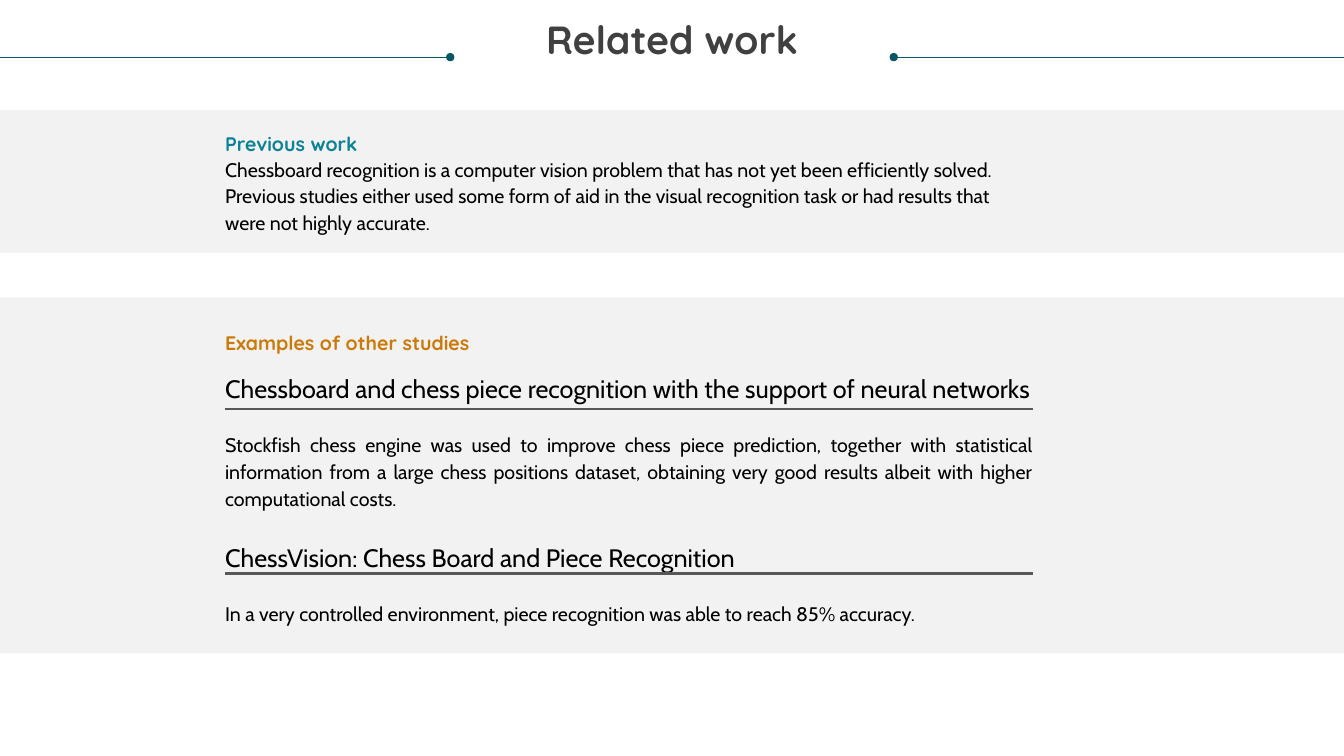
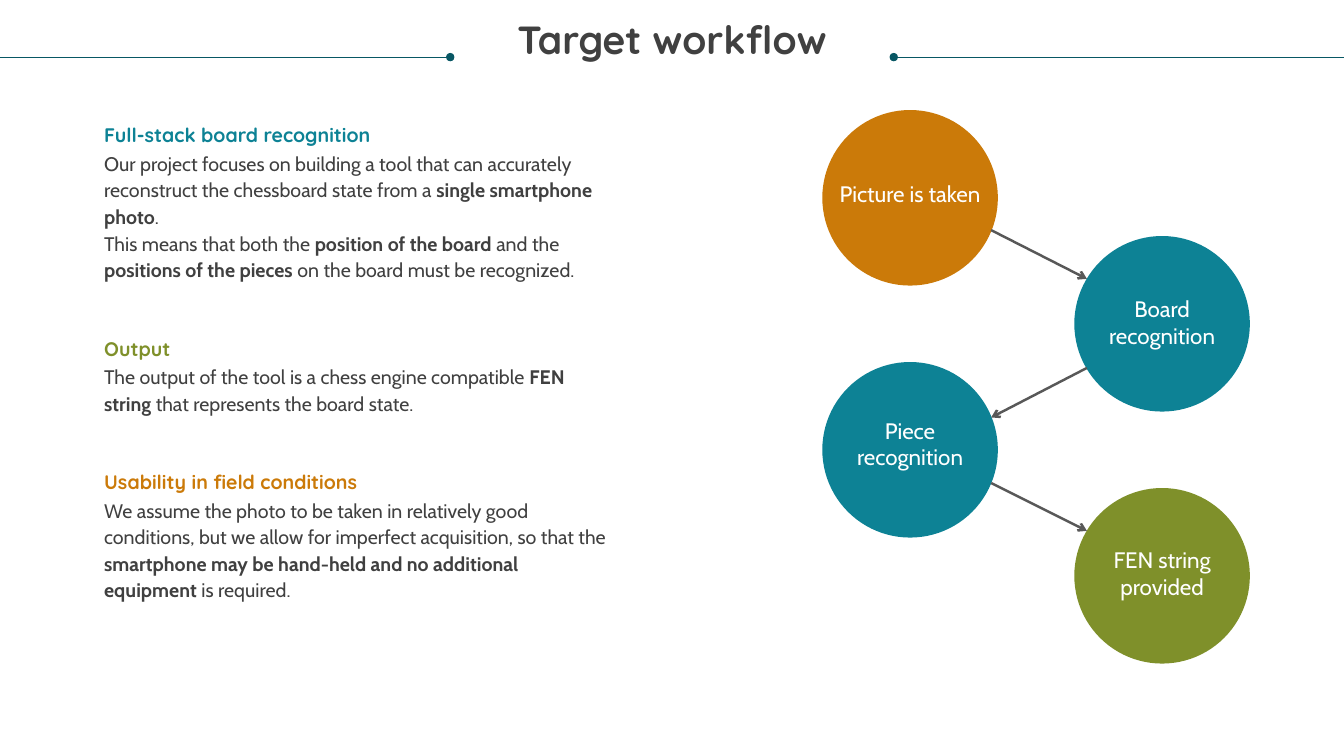
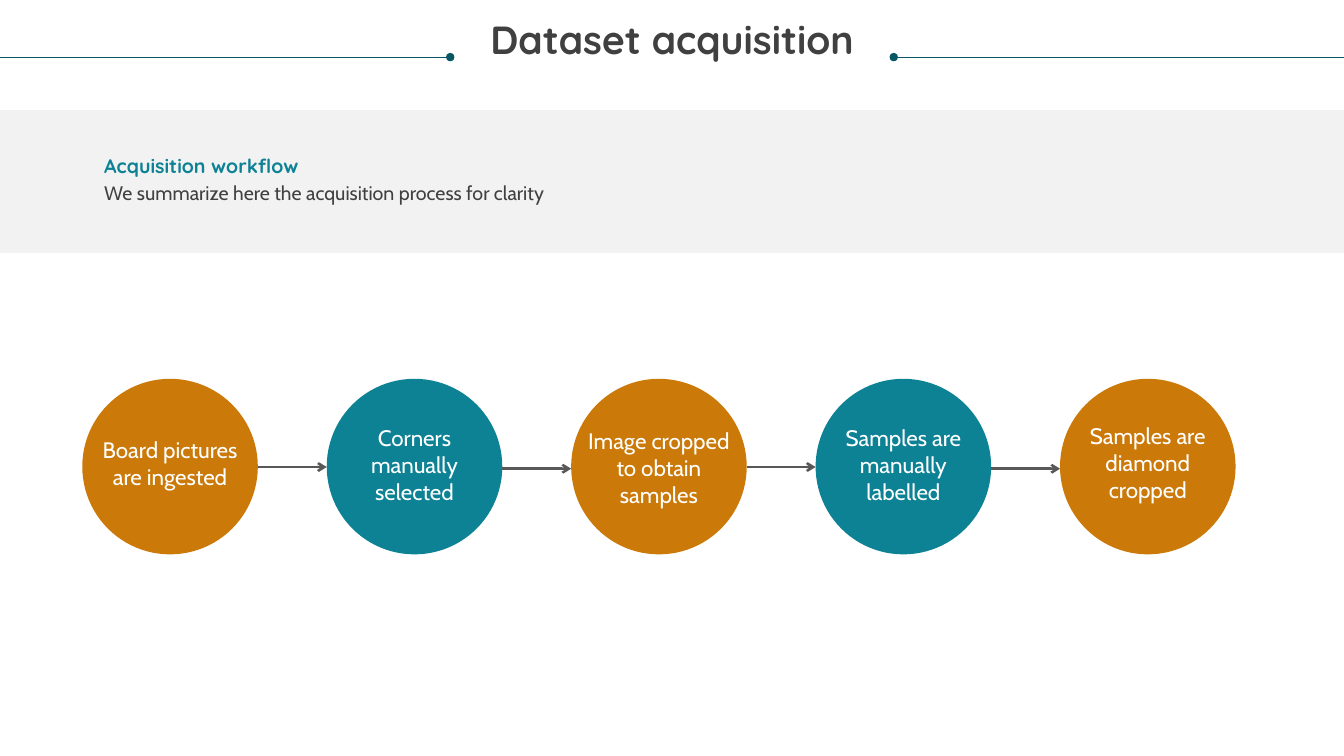
from lxml import etree
from pptx import Presentation
from pptx.dml.color import RGBColor
from pptx.enum.shapes import MSO_CONNECTOR, MSO_SHAPE
from pptx.enum.text import MSO_ANCHOR, MSO_AUTO_SIZE, PP_ALIGN
from pptx.oxml.ns import qn
from pptx.util import Inches, Pt

RECTANGLE, CIRCLE = MSO_SHAPE.RECTANGLE, MSO_SHAPE.OVAL
STRAIGHT = MSO_CONNECTOR.STRAIGHT
TOP, MIDDLE = MSO_ANCHOR.TOP, MSO_ANCHOR.MIDDLE
LEFT, CENTER, JUSTIFY = PP_ALIGN.LEFT, PP_ALIGN.CENTER, PP_ALIGN.JUSTIFY

# Grid: every length below is in cells, 16 columns by 9 rows
COLUMNS, ROWS = 16, 9
CELL = Inches(7.5) // ROWS

COLORS = {
    "teal": "0D8295", "orange": "CB7A09", "green": "7F902A",
    "band": "F2F2F2", "rule": "085764", "gray": "585858",
    "dark": "404040", "black": "000000", "white": "FFFFFF",
}

# Text styles: paragraph values and font values
BODY_LINE = Pt(19)
STYLES = {
    "title": ({"alignment": CENTER, "line_spacing": 0.9},
              {"name": "Quicksand", "size": Pt(28), "bold": True}),
    "heading": ({"alignment": LEFT, "line_spacing": BODY_LINE},
                {"name": "Quicksand", "size": Pt(14), "bold": True}),
    "body": ({"alignment": LEFT, "line_spacing": BODY_LINE},
             {"name": "Cabin", "size": Pt(14)}),
    "study": ({"alignment": LEFT, "line_spacing": BODY_LINE},
              {"name": "Cabin", "size": Pt(18)}),
    "finding": ({"alignment": JUSTIFY, "line_spacing": BODY_LINE, "space_before": BODY_LINE},
                {"name": "Cabin", "size": Pt(14)}),
    "label": ({"alignment": CENTER}, {"name": "Cabin", "size": Pt(16)}),
}


def add_text(page, at, paragraphs, color, anchor=TOP):
    """Add a text box of (style, text) paragraphs; text between asterisks is bold."""
    box = page.shapes.add_textbox(*[round(length * CELL) for length in at])
    frame = box.text_frame
    frame_format = {"word_wrap": True, "auto_size": MSO_AUTO_SIZE.SHAPE_TO_FIT_TEXT,
                    "vertical_anchor": anchor, "margin_left": 0, "margin_top": 0,
                    "margin_right": 0, "margin_bottom": 0}
    for name, value in frame_format.items():
        setattr(frame, name, value)
    for index, (style, text) in enumerate(paragraphs):
        para = frame.add_paragraph() if index else frame.paragraphs[0]
        para_format, font_format = STYLES[style]
        for name, value in para_format.items():
            setattr(para, name, value)
        for position, part in enumerate(text.split("*")):
            span = para.add_run()
            span.text = part
            for name, value in font_format.items():
                setattr(span.font, name, value)
            if position % 2:
                span.font.bold = True
            span.font.color.rgb = RGBColor.from_string(COLORS[color])


def add_line(page, ends, color="gray", width=1.75, tip=None):
    """Add a line from x, y to x, y, with an optional tip at its far end."""
    line = page.shapes.add_connector(STRAIGHT, *[round(length * CELL) for length in ends])
    line.line.color.rgb = RGBColor.from_string(COLORS[color])
    line.line.width = Pt(width)
    if tip:
        etree.SubElement(line.line._get_or_add_ln(), qn("a:tailEnd"), type=tip)
    etree.SubElement(line._element.spPr, qn("a:effectLst"))


deck = Presentation()
deck.slide_width, deck.slide_height = COLUMNS * CELL, ROWS * CELL

# Shared header: title between two dotted rules
RULE_Y, RULE_LENGTH = 0.68, 5.36
pages = []
for title in ("Related work", "Target workflow", "Dataset acquisition"):
    page = deck.slides.add_slide(deck.slide_layouts[6])
    add_text(page, (0.3, 0.25, COLUMNS - 0.6, 0.5), [("title", title)], "dark")
    for edge, dot in ((0, RULE_LENGTH), (COLUMNS, COLUMNS - RULE_LENGTH)):
        add_line(page, (edge, RULE_Y, dot, RULE_Y), "rule", 0.5, "oval")
    pages.append(page)
related, workflow, dataset = pages

# Steps of both flows: label, colour, number of lines, label middle below circle top
DIAMETER, LABEL_WIDTH, LABEL_LINE = 2.09, 1.8, 0.32
workflow_steps = [
    ("Picture is taken", "orange", 1, 1.0),
    ("Board recognition", "teal", 2, 1.02),
    ("Piece recognition", "teal", 2, 0.97),
    ("FEN string provided", "green", 2, 1.01),
]
dataset_steps = [
    ("Board pictures are ingested", "orange", 2, 1.0),
    ("Corners manually selected", "teal", 3, 1.02),
    ("Image cropped to obtain samples", "orange", 3, 1.06),
    ("Samples are manually labelled", "teal", 3, 1.02),
    ("Samples are diamond cropped", "orange", 3, 1.0),
]
DATASET_LEFT, DATASET_PITCH, DATASET_TOP = 0.98, 2.91, 4.51
steps = [(workflow, (9.79, 12.79)[index % 2], 1.31 + 1.5 * index, *step)
         for index, step in enumerate(workflow_steps)]
steps += [(dataset, DATASET_LEFT + DATASET_PITCH * index, DATASET_TOP, *step)
          for index, step in enumerate(dataset_steps)]

# Bands and circles
BAND_TOP, BAND_HEIGHT = 1.31, 1.7
shapes = [
    (related, RECTANGLE, (0, BAND_TOP, COLUMNS, BAND_HEIGHT), "band"),
    (related, RECTANGLE, (0, 3.54, COLUMNS, 4.24), "band"),
    (dataset, RECTANGLE, (0, BAND_TOP, COLUMNS, BAND_HEIGHT), "band"),
]
shapes += [(page, CIRCLE, (left, top, DIAMETER, DIAMETER), color)
           for page, left, top, label, color, lines, middle in steps]
for page, kind, at, color in shapes:
    shape = page.shapes.add_shape(kind, *[round(length * CELL) for length in at])
    shape.shadow.inherit = False
    shape.fill.solid()
    shape.fill.fore_color.rgb = RGBColor.from_string(COLORS[color])
    shape.line.fill.background()

# Circle labels
for page, left, top, label, color, lines, middle in steps:
    height = lines * LABEL_LINE
    at = (left + (DIAMETER - LABEL_WIDTH) / 2, top + middle - height / 2, LABEL_WIDTH, height)
    add_text(page, at, [("label", label)], "white", MIDDLE)

# Arrows between the circles
for ends in ((11.8, 2.74, 12.94, 3.32), (12.94, 4.38, 11.8, 4.97), (11.8, 5.75, 12.94, 6.32)):
    add_line(workflow, ends, tip="arrow")
for index in range(len(dataset_steps) - 1):
    left = DATASET_LEFT + DATASET_PITCH * index
    y = (5.56, 5.58)[index % 2]
    add_line(dataset, (left + DIAMETER, y, left + DATASET_PITCH, y), tip="arrow")

# Headings: page, left, top, width, colour, text
HEADING_HEIGHT = 0.29
RELATED_LEFT, RELATED_WIDTH = 2.68, 9.62
TEXT_LEFT, TEXT_WIDTH = 1.24, 6.05
headings = [
    (related, RELATED_LEFT, 1.54, 3.6, "teal", "Previous work"),
    (related, RELATED_LEFT, 3.9, 3.6, "orange", "Examples of other studies"),
    (workflow, TEXT_LEFT, 1.43, 3.98, "teal", "Full-stack board recognition"),
    (workflow, TEXT_LEFT, 3.97, 3.98, "green", "Output"),
    (workflow, TEXT_LEFT, 5.56, 3.98, "orange", "Usability in field conditions"),
    (dataset, TEXT_LEFT, 1.8, 3.98, "teal", "Acquisition workflow"),
]
for page, left, top, width, color, text in headings:
    add_text(page, (left, top, width, HEADING_HEIGHT), [("heading", text)], color)

# Body text: page, place, colour, paragraphs
bodies = [
    (related, (RELATED_LEFT, 1.84, 9.54, 1.25), "black", [
        "Chessboard recognition is a computer vision problem that has not yet been efficiently "
        "solved. Previous studies either used some form of aid in the visual recognition task "
        "or had results that were not highly accurate."]),
    (workflow, (TEXT_LEFT, 1.77, TEXT_WIDTH, 1.57), "dark", [
        "Our project focuses on building a tool that can accurately reconstruct the chessboard "
        "state from a *single smartphone photo*.",
        "This means that both the *position of the board *and the *positions of the pieces *"
        "on the board must be recognized."]),
    (workflow, (TEXT_LEFT, 4.31, TEXT_WIDTH, 0.61), "dark", [
        "The output of the tool is a chess engine compatible *FEN string* that represents "
        "the board state."]),
    (workflow, (TEXT_LEFT, 5.9, TEXT_WIDTH, 1.25), "dark", [
        "We assume the photo to be taken in relatively good conditions, but we allow for "
        "imperfect acquisition, so that the *smartphone may be hand-held and no additional "
        "equipment *is required."]),
    (dataset, (TEXT_LEFT, 2.12, TEXT_WIDTH, 0.29), "dark", [
        "We summarize here the acquisition process for clarity"]),
]
for page, at, color, texts in bodies:
    add_text(page, at, [("body", text) for text in texts], color)

# Related studies: top, height, rule, name, finding
studies = [
    (4.48, 1.6, 4.87,
     "Chessboard and chess piece recognition with the support of neural networks",
     "Stockfish chess engine was used to improve chess piece prediction, together with "
     "statistical information from a large chess positions dataset, obtaining very good "
     "results albeit with higher computational costs."),
    (6.5, 0.94, 6.83,
     "ChessVision: Chess Board and Piece Recognition",
     "In a very controlled environment, piece recognition was able to reach 85% accuracy."),
]
for top, height, rule, name, finding in studies:
    add_text(related, (RELATED_LEFT, top, RELATED_WIDTH, height),
             [("study", name), ("finding", finding)], "black", MIDDLE)
    add_line(related, (RELATED_LEFT, rule, RELATED_LEFT + RELATED_WIDTH, rule))

deck.save("out.pptx")
